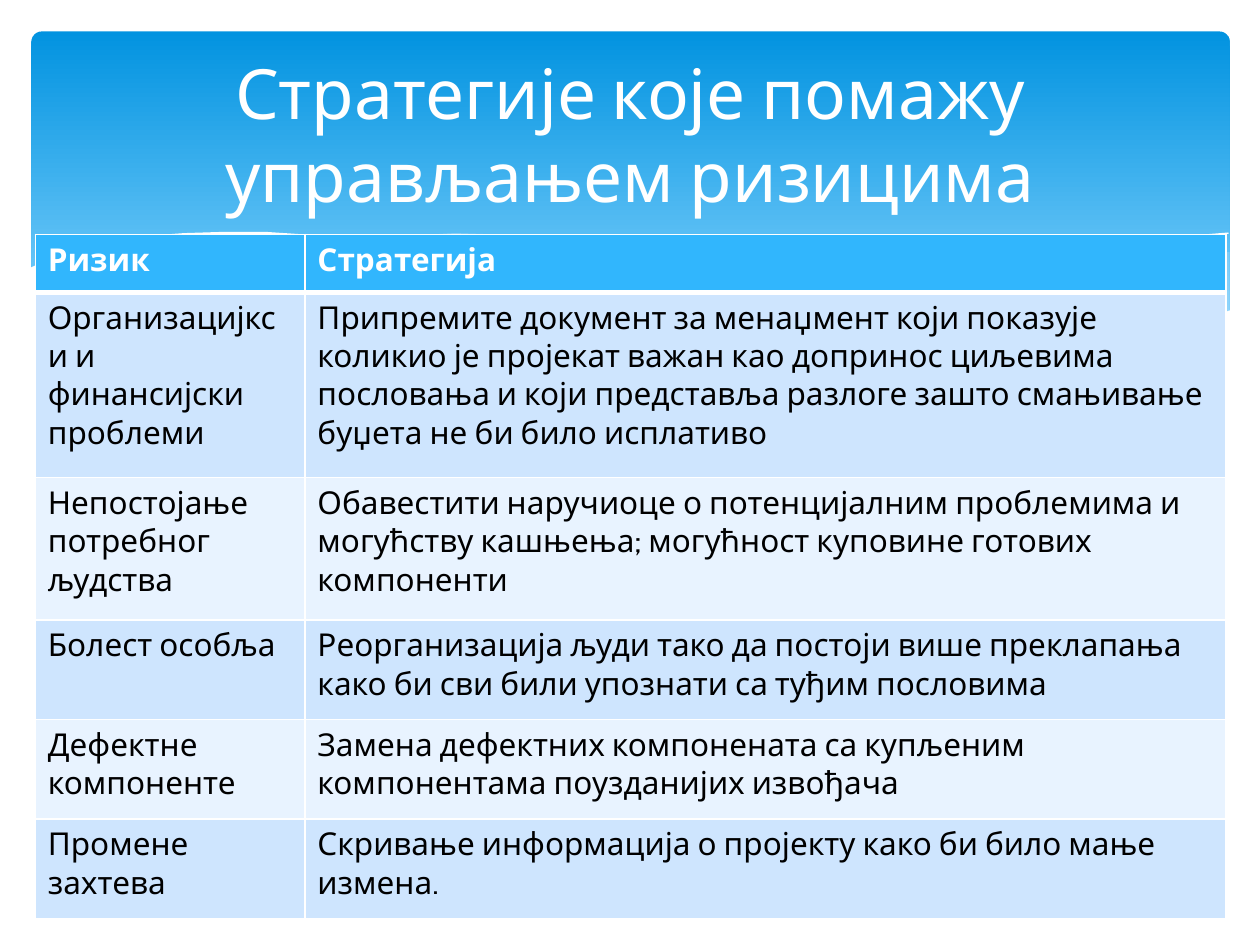
from lxml import etree
from pptx import Presentation
from pptx.dml.color import RGBColor
from pptx.enum.shapes import MSO_SHAPE
from pptx.enum.text import MSO_ANCHOR, PP_ALIGN
from pptx.oxml.ns import qn
from pptx.util import Pt

ROUNDED = MSO_SHAPE.ROUNDED_RECTANGLE
MIDDLE, CENTER = MSO_ANCHOR.MIDDLE, PP_ALIGN.CENTER
FONT, WHITE, PALE = "Cabin", "FFFFFF", "C6E7FC"
COLUMNS, ROWS = 100, 75


def rgb(hex_color):
    return RGBColor.from_string(hex_color)


def write(paragraph, text, color, **font_values):
    """Add one run in the slide's font, with the given font attributes."""
    run = paragraph.add_run()
    run.text = text
    run.font.color.rgb = rgb(color)
    for attribute, value in {"name": FONT, **font_values}.items():
        setattr(run.font, attribute, value)


prs = Presentation()
prs.slide_width, prs.slide_height = 9144000, 6858000
cell_size = prs.slide_width // COLUMNS  # square grid: 100 columns by 75 rows
slide = prs.slides.add_slide(prs.slide_layouts[6])
shapes = slide.shapes

# Blue header panel
panel_box = [round(v * cell_size) for v in (2.5, 2.5, COLUMNS - 4.9, 27)]
panel = shapes.add_shape(ROUNDED, *panel_box)
panel.adjustments[0] = 0.03
panel.shadow.inherit = False
panel.line.fill.background()
panel.fill.gradient()
panel.fill.gradient_angle = 270
for stop, (position, color) in zip(panel.fill.gradient_stops, [(0, "0293E0"), (0.9, "83D3FE")]):
    stop.position = position
    stop.color.rgb = rgb(color)

# Waves along the foot of the panel: fill, opacity in percent, points in grid cells
waves = [
    (PALE, 29, [(97.5, 20), (94.8, 20.4), (90.6, 21.3), (86.1, 22.3), (80.5, 23.7),
                (75.3, 24.8), (66.1, 26.5), (70.5, 27.1), (74.5, 27.5), (80.3, 27.8),
                (85.4, 27.7), (89.7, 27), (93.5, 26.2), (97.6, 24.7), (97.6, 20)]),
    (PALE, 40, [(89.3, 27.3), (83.7, 26.5), (77.5, 25.4), (70.6, 24), (62.9, 22.2),
                (56.9, 20.8), (51.4, 19.8), (46.5, 19.1), (42, 18.7), (36.1, 18.5),
                (32.8, 18.7), (28.6, 19.1), (34.2, 19.9), (40.4, 21.1), (44.9, 22.2),
                (53, 24), (60.1, 25.5), (66.5, 26.6), (72.2, 27.4), (78.5, 27.8),
                (83.8, 27.8), (89.3, 27.3)]),
    (None, 100, [(30.9, 19.5), (34.4, 19), (38.7, 18.7), (43.3, 18.7), (48.9, 19),
                 (55.6, 19.7), (63.6, 20.8), (72.7, 22.6), (83.1, 25.1), (90.7, 27.2)]),
    (None, 100, [(61.3, 25.7), (67.2, 24.1), (74.8, 22.3), (83.6, 20.4), (89.5, 19.4),
                 (93.8, 18.8), (97.5, 18.5)]),
    (WHITE, 100, [(97.7, 24.6), (94, 25.9), (89.9, 26.9), (85, 27.5), (80.9, 27.7),
                  (74.4, 27.4), (66.8, 26.5), (57.9, 25), (50.3, 23.3), (41.8, 21.3),
                  (34, 19.7), (27.1, 18.8), (21.1, 18.4), (17.7, 18.4), (14.6, 18.5),
                  (11.9, 18.7), (9.5, 19.1), (7.6, 19.5), (5.9, 19.9), (4.6, 20.3),
                  (3.6, 20.7), (2.3, 21.3), (2.3, 32.9), (97.7, 32.9)]),
]
for color, opacity, points in waves:
    start, *rest = [(round(x * cell_size), round(y * cell_size)) for x, y in points]
    outline = shapes.build_freeform(*start)
    outline.add_line_segments(rest, close=color is not None)
    wave = outline.convert_to_shape()
    wave.shadow.inherit = False
    if color is None:
        wave.fill.background()
        wave.line.color.rgb = rgb(WHITE)
        wave.line.width = 0
        continue
    wave.line.fill.background()
    wave.fill.solid()
    wave.fill.fore_color.rgb = rgb(color)
    if opacity < 100:
        color_node = wave.fill._xPr.find(".//" + qn("a:srgbClr"))
        etree.SubElement(color_node, qn("a:alpha"), val=str(opacity * 1000))

# Risks and strategies
risks = [
    ("Ризик", "Стратегија"),
    ("Организацијкси и финансијски проблеми",
     "Припремите документ за менаџмент који показује коликио је пројекат важан као "
     "допринос циљевима пословања и који представља разлоге зашто смањивање буџета "
     "не би било исплативо"),
    ("Непостојање потребног људства",
     "Обавестити наручиоце о потенцијалним проблемима и могућству кашњења; "
     "могућност куповине готових компоненти"),
    ("Болест особља",
     "Реорганизација људи тако да постоји више преклапања како би сви били упознати "
     "са туђим пословима"),
    ("Дефектне компоненте",
     "Замена дефектних компонената са купљеним компонентама поузданијих извођача"),
    ("Промене захтева",
     "Скривање информација о пројекту како би било мање измена."),
]
column_widths = [21.4, 73.1]
row_heights = [4.6, 14.7, 11.3, 7.9, 7.9, 7.9]
table_box = [round(v * cell_size) for v in (2.8, 18.6, sum(column_widths), sum(row_heights))]
table = shapes.add_table(len(risks), 2, *table_box).table
for column, width in zip(table.columns, column_widths):
    column.width = round(width * cell_size)
for row, height in zip(table.rows, row_heights):
    row.height = round(height * cell_size)

for r, texts in enumerate(risks):
    header = r == 0
    row_fill = "31B6FD" if header else ("E8F3FF", "CEE5FE")[r % 2]
    for c, text in enumerate(texts):
        cell = table.cell(r, c)
        properties = cell._tc.get_or_add_tcPr()
        borders = {"L": 1, "R": 1, "T": 3 if r == 1 else 1, "B": 3 if header else 1}
        for side, width in borders.items():
            border = etree.SubElement(properties, qn(f"a:ln{side}"), w=str(Pt(width)))
            border_fill = etree.SubElement(border, qn("a:solidFill"))
            etree.SubElement(border_fill, qn("a:srgbClr"), val=WHITE)
        cell.fill.solid()
        cell.fill.fore_color.rgb = rgb(row_fill)
        write(cell.text_frame.paragraphs[0], text, WHITE if header else "000000",
              size=Pt(18), bold=header)

# Title
title_box = [round(v * cell_size) for v in (5, 3.7, COLUMNS - 10, 13.7)]
title = shapes.add_textbox(*title_box).text_frame
for attribute, value in {"word_wrap": True, "vertical_anchor": MIDDLE}.items():
    setattr(title, attribute, value)
title.paragraphs[0].alignment = CENTER
write(title.paragraphs[0], "Стратегије које помажу управљањем ризицима", WHITE, size=Pt(39.6))

prs.save("out.pptx")
